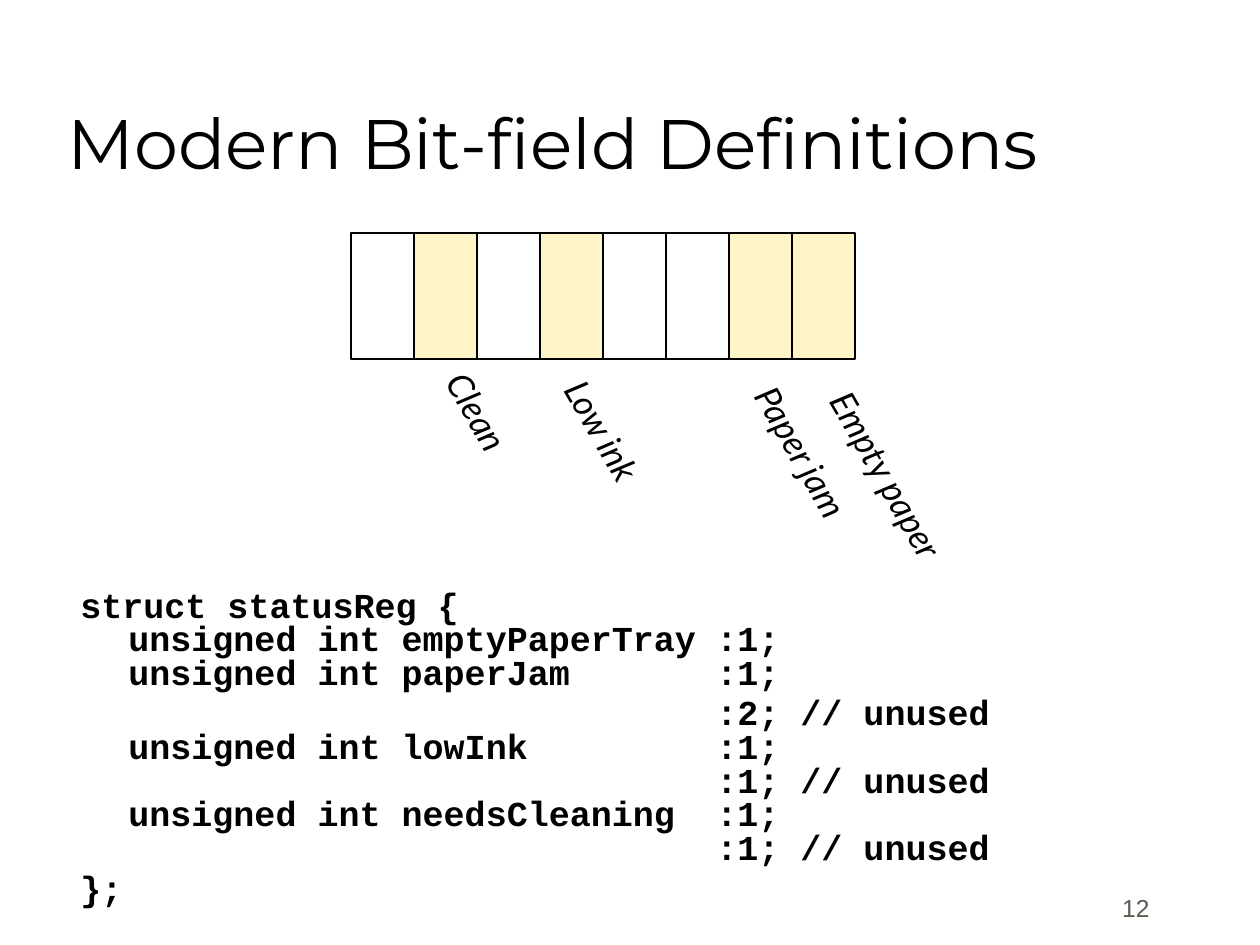
from lxml import etree
from pptx import Presentation
from pptx.dml.color import RGBColor
from pptx.enum.shapes import MSO_SHAPE
from pptx.enum.text import MSO_ANCHOR, MSO_AUTO_SIZE, PP_ALIGN
from pptx.oxml.ns import qn
from pptx.util import Emu, Pt

PX = 914400 // 126
BLACK = RGBColor(0x00, 0x00, 0x00)
GRAY = RGBColor(0x5E, 0x57, 0x4E)
USED_BIT = RGBColor(0xFF, 0xF4, 0xC7)

BIT_LEFT, BIT_TOP, BIT_WIDTH, BIT_HEIGHT = 351, 233, 63, 126
BIT_COUNT = 8
USED_BITS = {1, 3, 6, 7}

LABELS = [
    ("Empty paper", (794, 454, 186, 43)),
    ("Paper jam", (728, 432, 149, 43)),
    ("Low ink", (547, 411, 112, 42)),
    ("Clean", (434, 394, 90, 42)),
]

CODE_TABS = (48, 636)
CODE = [
    ["struct statusReg {",
     "\tunsigned int emptyPaperTray\t:1;",
     "\tunsigned int paperJam\t:1;"],
    ["\t\t:2; // unused",
     "\tunsigned int lowInk\t:1;",
     "\t\t:1; // unused",
     "\tunsigned int needsCleaning\t:1;",
     "\t\t:1; // unused"],
    ["};"],
]


def px(*lengths):
    """Turn picture pixels into EMU lengths."""
    return [Emu(length * PX) for length in lengths]


def style_runs(paragraph, font, size, color=BLACK, bold=False, italic=False):
    """Format every run of a paragraph."""
    for run in paragraph.runs:
        run.font.name = font
        run.font.size = Pt(size)
        run.font.color.rgb = color
        run.font.bold = bold
        run.font.italic = italic


def set_title(slide, text, box):
    """Place and format the title placeholder."""
    title = slide.shapes.title
    title.left, title.top, title.width, title.height = px(*box)
    frame = title.text_frame
    frame.text = text
    frame.auto_size = MSO_AUTO_SIZE.NONE
    frame.vertical_anchor = MSO_ANCHOR.BOTTOM
    frame.paragraphs[0].alignment = PP_ALIGN.LEFT
    style_runs(frame.paragraphs[0], "Montserrat", 40)


def add_text(slide, text, box, wrap=True):
    """Add a text box and return it."""
    shape = slide.shapes.add_textbox(*px(*box))
    shape.text_frame.word_wrap = wrap
    shape.text_frame.text = text
    return shape


def add_bit(slide, index):
    """Draw one bit of the register, tinted when it is in use."""
    box = (BIT_LEFT + index * BIT_WIDTH, BIT_TOP, BIT_WIDTH, BIT_HEIGHT)
    bit = slide.shapes.add_shape(MSO_SHAPE.RECTANGLE, *px(*box))
    bit.shadow.inherit = False
    bit.line.color.rgb = BLACK
    bit.line.width = Pt(0.75)
    if index in USED_BITS:
        bit.fill.solid()
        bit.fill.fore_color.rgb = USED_BIT
    else:
        bit.fill.background()


def add_label(slide, text, box):
    """Add a slanted bit label."""
    label = add_text(slide, text, box, wrap=False)
    label.rotation = 60
    frame = label.text_frame
    frame.margin_left = frame.margin_right = 0
    frame.margin_top = frame.margin_bottom = 0
    frame.vertical_anchor = MSO_ANCHOR.MIDDLE
    frame.auto_size = MSO_AUTO_SIZE.NONE
    frame.paragraphs[0].alignment = PP_ALIGN.LEFT
    style_runs(frame.paragraphs[0], "Lato", 20, italic=True)


def set_tabs(paragraph, stops):
    """Give a paragraph left tab stops."""
    tabs = etree.SubElement(paragraph._p.get_or_add_pPr(), qn("a:tabLst"))
    for stop in px(*stops):
        etree.SubElement(tabs, qn("a:tab"), pos=str(stop), algn="l")


def add_code(slide, blocks, box):
    """Add the code listing, one paragraph per block of lines."""
    text = "\n".join("\v".join(lines) for lines in blocks)
    for paragraph in add_text(slide, text, box).text_frame.paragraphs:
        paragraph.line_spacing = 0.8
        paragraph.space_before = Pt(4)
        set_tabs(paragraph, CODE_TABS)
        style_runs(paragraph, "Courier New", 20, bold=True)


def add_page_number(slide, text, box):
    """Add the page number at the lower right."""
    frame = add_text(slide, text, box).text_frame
    frame.vertical_anchor = MSO_ANCHOR.BOTTOM
    frame.paragraphs[0].alignment = PP_ALIGN.RIGHT
    style_runs(frame.paragraphs[0], "Arial", 14, GRAY)


def main():
    """Build and save the slide."""
    prs = Presentation()
    prs.slide_width, prs.slide_height = px(1260, 945)
    slide = prs.slides.add_slide(prs.slide_layouts[5])
    set_title(slide, "Modern Bit-field Definitions", (55, 32, 1071, 158))
    add_code(slide, CODE, (68, 585, 1071, 344))
    for index in range(BIT_COUNT):
        add_bit(slide, index)
    for text, box in LABELS:
        add_label(slide, text, box)
    add_page_number(slide, "12", (910, 858, 252, 71))
    prs.save("out.pptx")


main()
